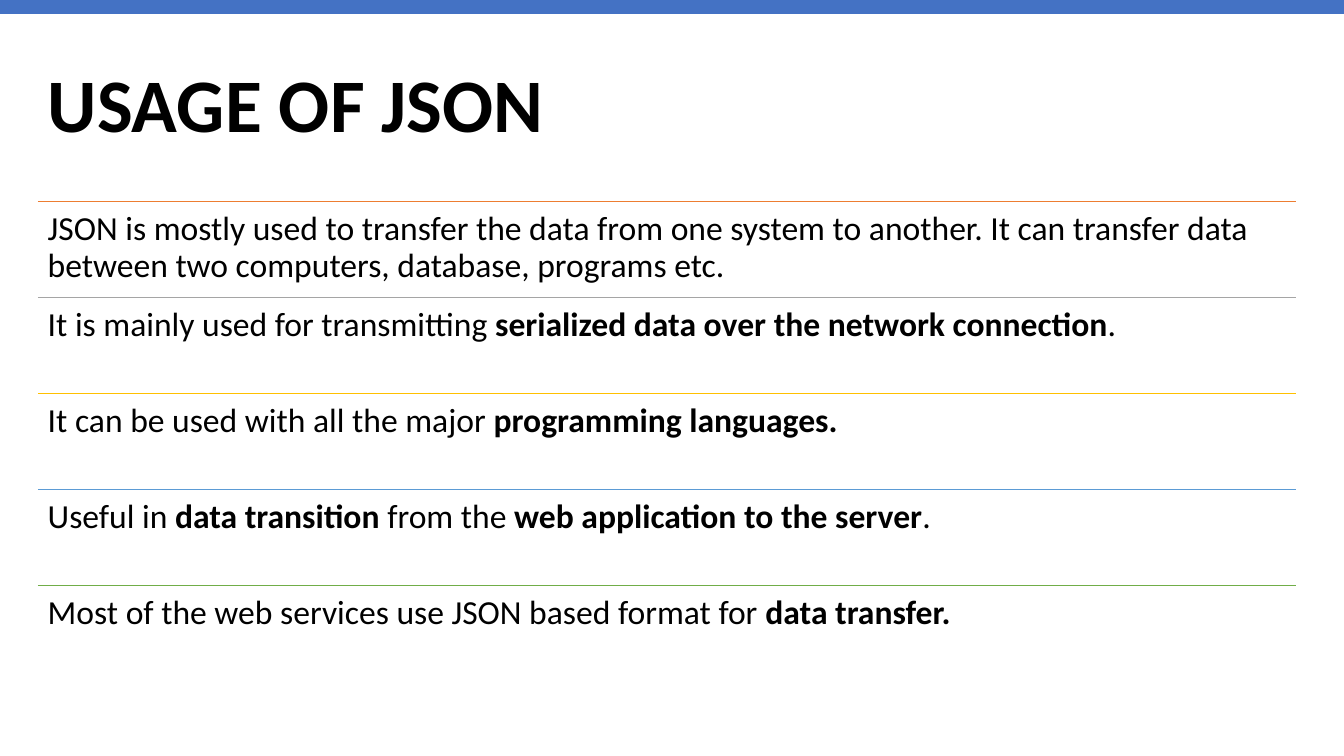
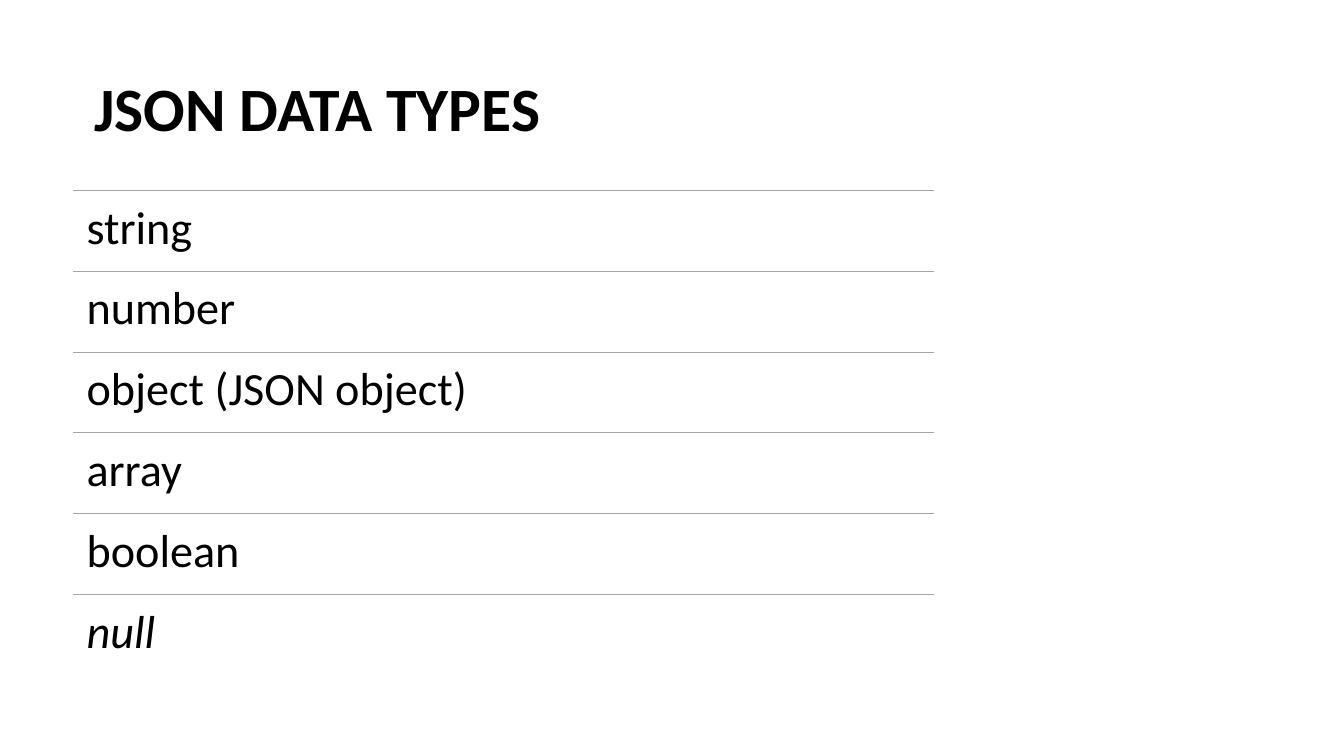
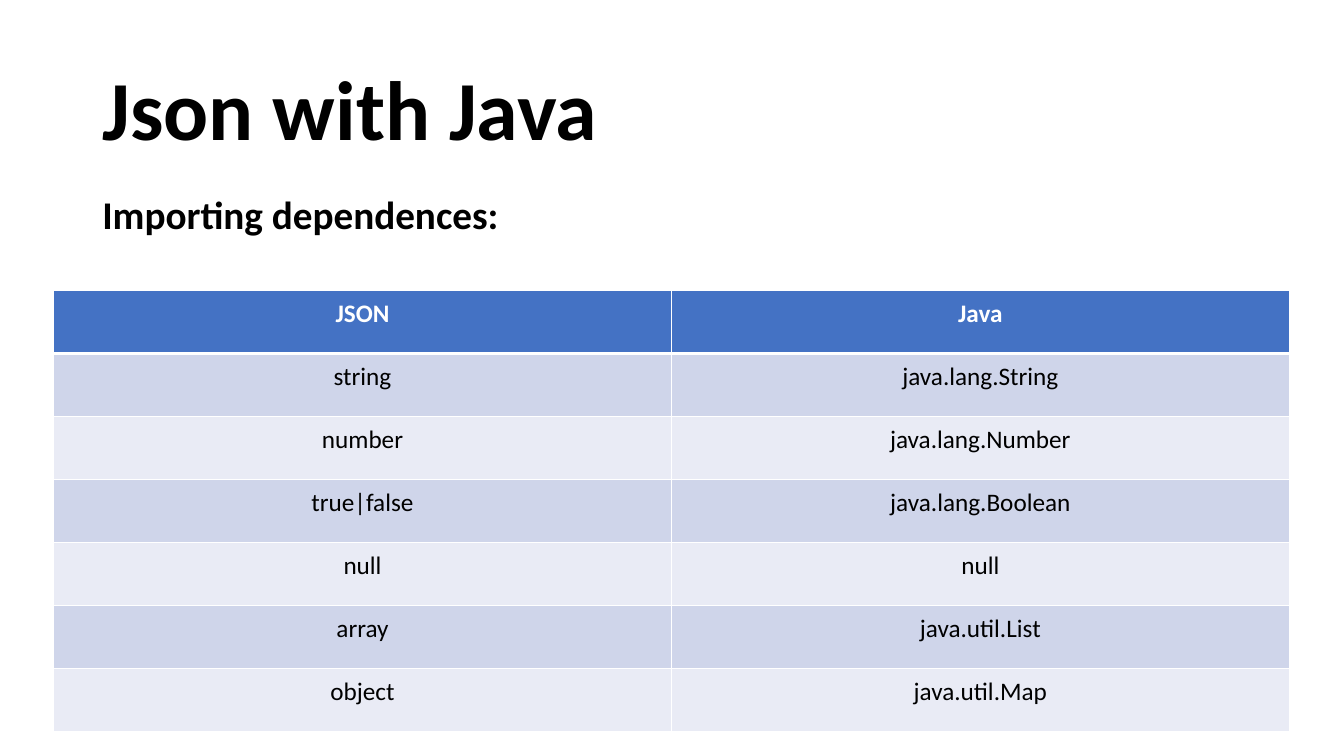
from lxml.etree import SubElement
from pptx import Presentation
from pptx.dml.color import RGBColor
from pptx.enum.shapes import MSO_CONNECTOR, MSO_SHAPE
from pptx.enum.text import MSO_ANCHOR, MSO_AUTO_SIZE, PP_ALIGN
from pptx.oxml import parse_xml
from pptx.oxml.ns import nsdecls, qn
from pptx.util import Pt

# Shared style
FONT = "Calibri"
BLACK = RGBColor(0x00, 0x00, 0x00)
WHITE = RGBColor(0xFF, 0xFF, 0xFF)
BLUE = RGBColor(0x44, 0x72, 0xC4)
ORANGE = RGBColor(0xED, 0x7D, 0x31)
GRAY = RGBColor(0xA5, 0xA5, 0xA5)
YELLOW = RGBColor(0xFF, 0xC0, 0x00)
LIGHT_BLUE = RGBColor(0x5B, 0x9B, 0xD5)
GREEN = RGBColor(0x70, 0xAD, 0x47)
BAND_DARK = RGBColor(0xCF, 0xD5, 0xEA)
BAND_LIGHT = RGBColor(0xE9, 0xEB, 0xF5)


def write_text(frame, text, size, color=BLACK, bold=False, italic=False,
               align=PP_ALIGN.LEFT, spacing=1.0, anchor=MSO_ANCHOR.TOP, inset=None):
    """Fill a text frame; parts between ** marks are bold."""
    frame.word_wrap = True
    frame.vertical_anchor = anchor
    if inset is not None:
        frame.margin_left = frame.margin_right = Pt(inset)
        frame.margin_top = frame.margin_bottom = Pt(inset)
    paragraph = frame.paragraphs[0]
    paragraph.alignment = align
    paragraph.line_spacing = spacing
    for index, part in enumerate(text.split("**")):
        if not part:
            continue
        run = paragraph.add_run()
        run.text = part
        run.font.name = FONT
        run.font.size = Pt(size)
        run.font.bold = bold or index % 2 == 1
        run.font.italic = italic
        run.font.color.rgb = color


def add_ruled_list(slide, rows, left, top, width, row_height, line_width, size, inset):
    """Stack rows of text, each under a rule of its own colour."""
    for index, (text, color, italic) in enumerate(rows):
        y = top + index * row_height
        rule = slide.shapes.add_connector(
            MSO_CONNECTOR.STRAIGHT, Pt(left), Pt(y), Pt(left + width), Pt(y))
        rule.line.color.rgb = color
        rule.line.width = Pt(line_width)
        SubElement(rule._element.spPr, qn("a:effectLst"))
        box = slide.shapes.add_textbox(Pt(left), Pt(y), Pt(width), Pt(row_height))
        write_text(box.text_frame, text, size, italic=italic, spacing=0.9, inset=inset)


presentation = Presentation()
presentation.slide_width = Pt(960)
presentation.slide_height = Pt(540)

# Slides with their titles
titles = [
    ("USAGE OF JSON", 54, (27, 25.2, 898.5, 104.4), MSO_ANCHOR.MIDDLE),
    ("JSON DATA TYPES", 44, (60, 52, 840, 117), MSO_ANCHOR.TOP),
    ("Json with Java", 60, (66, 28.75, 828, 104.4), MSO_ANCHOR.MIDDLE),
]
slides = []
for text, size, bounds, anchor in titles:
    slide = presentation.slides.add_slide(presentation.slide_layouts[5])
    title = slide.shapes.title
    title.left, title.top, title.width, title.height = map(Pt, bounds)
    title.text_frame.auto_size = MSO_AUTO_SIZE.NONE
    write_text(title.text_frame, text, size, bold=True, spacing=0.9, anchor=anchor)
    slides.append(slide)
usage_slide, types_slide, java_slide = slides

# Usage: top band and ruled statements
band = usage_slide.shapes.add_shape(MSO_SHAPE.RECTANGLE, 0, 0, Pt(960), Pt(10))
band.shadow.inherit = False
band.fill.solid()
band.fill.fore_color.rgb = BLUE
band.line.fill.background()

usages = [
    ("JSON is mostly used to transfer the data from one system to another. "
     "It can transfer data between two computers, database, programs etc.", ORANGE, False),
    ("It is mainly used for transmitting "
     "**serialized data over the network connection**.", GRAY, False),
    ("It can be used with all the major **programming languages.**", YELLOW, False),
    ("Useful in **data transition** from the **web application to the server**.",
     LIGHT_BLUE, False),
    ("Most of the web services use JSON based format for **data transfer.**", GREEN, False),
]
add_ruled_list(usage_slide, usages, left=27, top=144, width=898.5, row_height=68.5,
               line_width=1, size=24, inset=7.2)

# Data types: ruled names
type_names = ["string", "number", "object (JSON object)", "array", "boolean", "null"]
add_ruled_list(types_slide, [(name, GRAY, name == "null") for name in type_names],
               left=52, top=136, width=615, row_height=57.7,
               line_width=0.5, size=33, inset=9.9)

# Java: subtitle and type mapping table
subtitle = java_slide.shapes.add_textbox(Pt(66), Pt(132.5), Pt(312.5), Pt(75))
write_text(subtitle.text_frame, "Importing dependences:", 28, bold=True)

mapping = [
    ("JSON", "Java"),
    ("string", "java.lang.String"),
    ("number", "java.lang.Number"),
    ("true|false", "java.lang.Boolean"),
    ("null", "null"),
    ("array", "java.util.List"),
    ("object", "java.util.Map"),
]
table = java_slide.shapes.add_table(
    len(mapping), 2, Pt(38.3), Pt(207.5), Pt(882.6), Pt(315)).table
for row_index, names in enumerate(mapping):
    header = row_index == 0
    fill = BLUE if header else (BAND_LIGHT, BAND_DARK)[row_index % 2]
    edges = {"L": 1, "R": 1, "T": 3 if row_index == 1 else 1, "B": 3 if header else 1}
    for column_index, name in enumerate(names):
        cell = table.cell(row_index, column_index)
        properties = cell._tc.get_or_add_tcPr()
        for edge, width in edges.items():
            properties.append(parse_xml(
                f'<a:ln{edge} {nsdecls("a")} w="{Pt(width)}"><a:solidFill>'
                f'<a:srgbClr val="{WHITE}"/></a:solidFill></a:ln{edge}>'))
        cell.fill.solid()
        cell.fill.fore_color.rgb = fill
        cell.margin_left = cell.margin_right = Pt(6)
        cell.margin_top = cell.margin_bottom = Pt(6)
        write_text(cell.text_frame, name, 18, color=WHITE if header else BLACK,
                   bold=header, align=PP_ALIGN.CENTER)

presentation.save("out.pptx")
